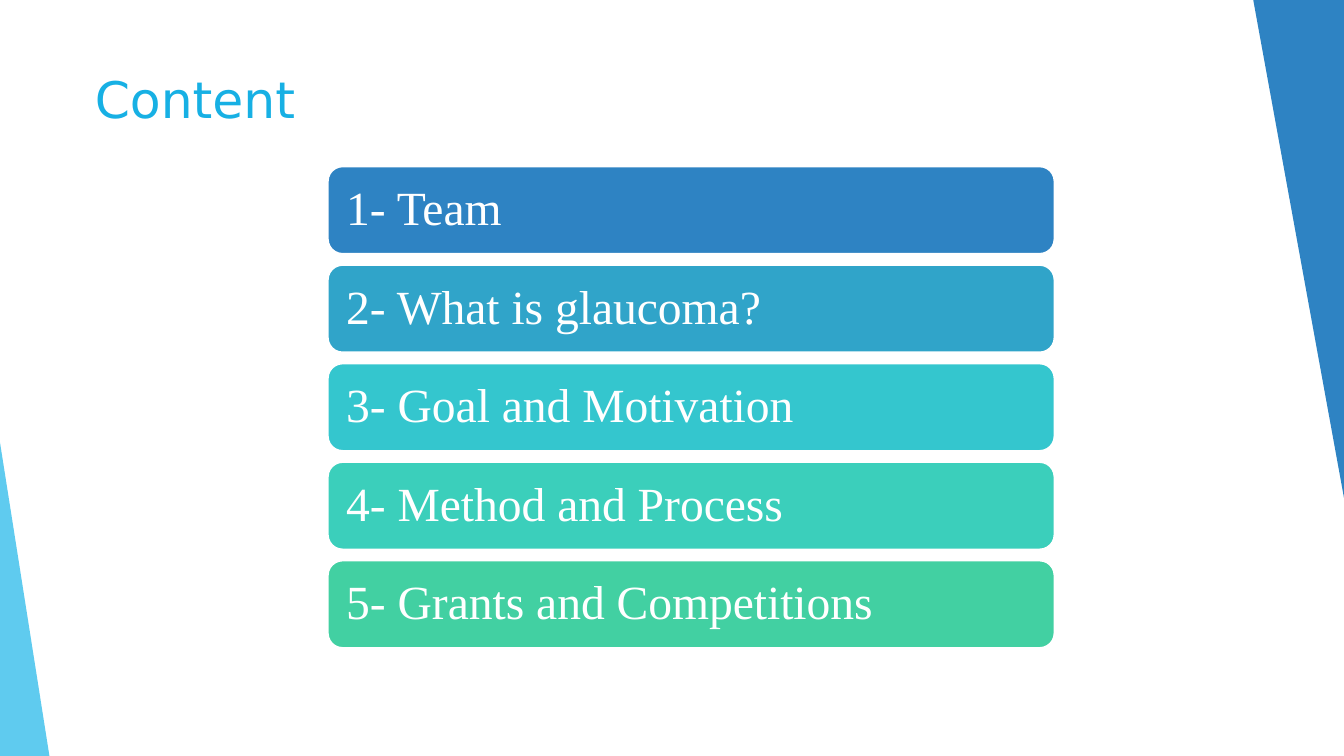
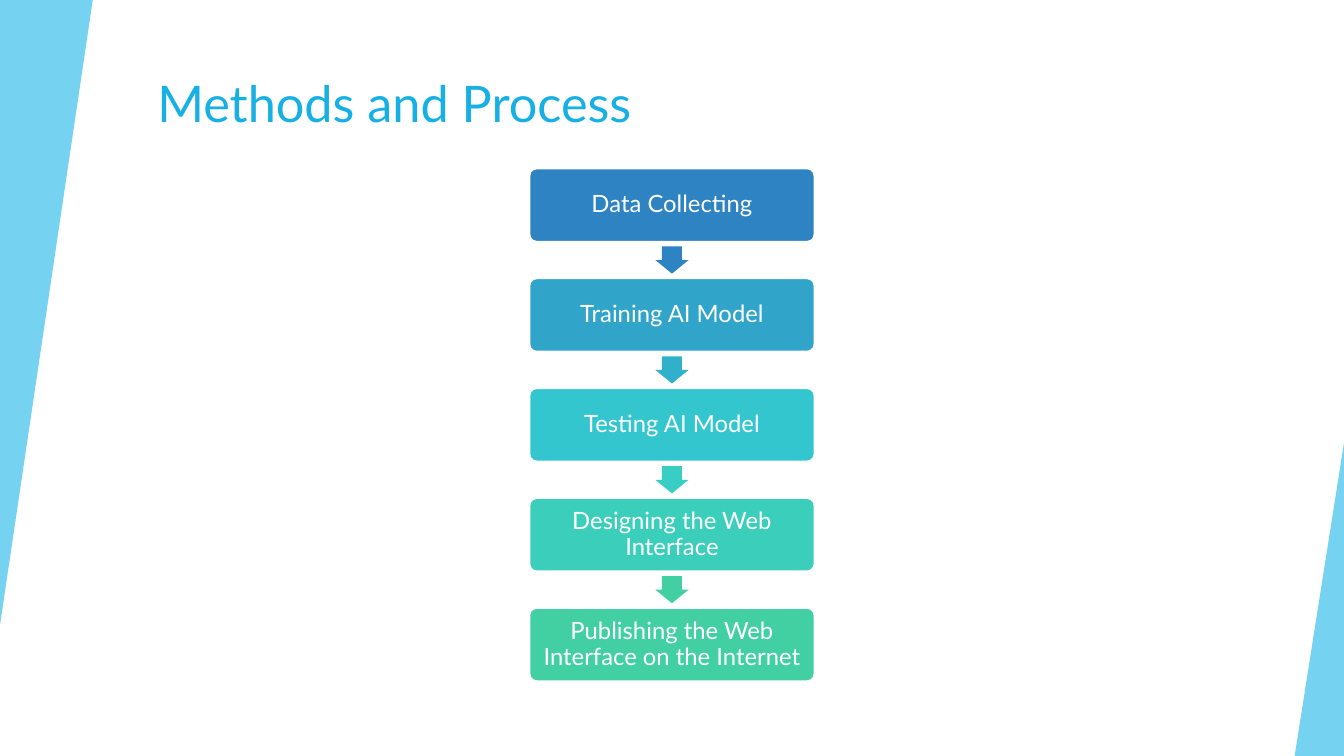
from lxml import etree
from pptx import Presentation
from pptx.dml.color import RGBColor
from pptx.enum.shapes import MSO_SHAPE
from pptx.enum.text import MSO_ANCHOR, MSO_AUTO_SIZE, PP_ALIGN
from pptx.oxml.ns import qn
from pptx.util import Inches, Pt

TRIANGLE = MSO_SHAPE.ISOSCELES_TRIANGLE
ROUNDED = MSO_SHAPE.ROUNDED_RECTANGLE
DOWN_ARROW = MSO_SHAPE.DOWN_ARROW
TOP, MIDDLE = MSO_ANCHOR.TOP, MSO_ANCHOR.MIDDLE
LEFT, CENTER = PP_ALIGN.LEFT, PP_ALIGN.CENTER
NO_AUTOFIT = MSO_AUTO_SIZE.NONE

WHITE = RGBColor(0xFF, 0xFF, 0xFF)
TITLE_BLUE = RGBColor(0x17, 0xB0, 0xE4)
SKY = RGBColor(0x5F, 0xCB, 0xEF)
BLUE = RGBColor(0x2E, 0x83, 0xC3)
GREEN = RGBColor(0x42, 0xD0, 0xA2)
STEP_COLORS = [
    BLUE,
    RGBColor(0x30, 0xA4, 0xC9),
    RGBColor(0x34, 0xC6, 0xCE),
    RGBColor(0x3B, 0xCF, 0xBB),
    GREEN,
]
ARROW_COLORS = [
    BLUE,
    RGBColor(0x31, 0xB0, 0xCB),
    RGBColor(0x39, 0xCE, 0xC4),
    GREEN,
]

SLIDE_W, SLIDE_H = 13.33, 7.5
TITLE_ONLY = 5
WEDGE_W, WEDGE_H = 0.49, 3.11
WEDGE_TOP = SLIDE_H - WEDGE_H
BAND_W = 0.92

CHAPTERS = [
    "1- Team",
    "2- What is glaucoma?",
    "3- Goal and Motivation",
    "4- Method and Process",
    "5- Grants and Competitions",
]
STEPS = [
    "Data Collecting",
    "Training AI Model",
    "Testing AI Model",
    "Designing the Web Interface",
    "Publishing the Web Interface on the Internet",
]


def add_filled(slide, kind, box, color):
    """Add a flat preset shape without outline or shadow."""
    shape = slide.shapes.add_shape(kind, *map(Inches, box))
    shape.shadow.inherit = False
    shape.fill.solid()
    shape.fill.fore_color.rgb = color
    shape.line.fill.background()
    return shape


def add_wedge(slide, box, color, apex, rotation=0, opacity=100):
    """Add a right-angled triangle along a slide edge."""
    wedge = add_filled(slide, TRIANGLE, box, color)
    wedge.adjustments[0] = apex
    wedge.rotation = rotation
    if opacity < 100:
        fill_color = wedge.fill._xPr.find(qn("a:solidFill"))[0]
        etree.SubElement(fill_color, qn("a:alpha"), val=str(opacity * 1000))


def add_run(paragraph, text, font_name, size, color):
    """Add one formatted run."""
    run = paragraph.add_run()
    run.text = text
    run.font.name = font_name
    run.font.size = Pt(size)
    run.font.color.rgb = color


def add_titled_slide(prs, text, font_name, box):
    """Add a title-only slide with the shared title style."""
    slide = prs.slides.add_slide(prs.slide_layouts[TITLE_ONLY])
    title = slide.shapes.title
    title.left, title.top, title.width, title.height = map(Inches, box)
    frame = title.text_frame
    frame.vertical_anchor = TOP
    frame.auto_size = NO_AUTOFIT
    paragraph = frame.paragraphs[0]
    paragraph.alignment = LEFT
    add_run(paragraph, text, font_name, 36, TITLE_BLUE)
    return slide


def add_boxes(slide, labels, box, pitch, radius, inset, align, font_name, size):
    """Stack rounded boxes, one for each label, at an even pitch."""
    left, top, width, height = box
    for i, (label, color) in enumerate(zip(labels, STEP_COLORS)):
        card = add_filled(
            slide, ROUNDED, (left, top + i * pitch, width, height), color)
        card.adjustments[0] = radius
        card.line.color.rgb = WHITE
        card.line.width = Pt(1.5)
        frame = card.text_frame
        frame.word_wrap = True
        frame.vertical_anchor = MIDDLE
        frame.margin_left = frame.margin_right = Inches(inset)
        frame.margin_top = frame.margin_bottom = Inches(inset)
        paragraph = frame.paragraphs[0]
        paragraph.alignment = align
        paragraph.line_spacing = 0.9
        add_run(paragraph, label, font_name, size, WHITE)


def add_arrows(slide, box, pitch):
    """Put a down arrow in the middle of each gap between boxes."""
    left, top, width, height = box
    arrow_w, arrow_h = 0.33, 0.27
    arrow_left = left + (width - arrow_w) / 2
    first_top = top + (height + pitch - arrow_h) / 2
    for i, color in enumerate(ARROW_COLORS):
        arrow = add_filled(
            slide, DOWN_ARROW,
            (arrow_left, first_top + i * pitch, arrow_w, arrow_h), color)
        arrow.adjustments[0] = 0.6
        arrow.adjustments[1] = 0.5


def build_content(prs):
    """Build the list of chapters."""
    slide = add_titled_slide(
        prs, "Content", "DejaVu Sans", (0.84, 0.63, 10.38, 1.5))
    add_wedge(slide, (0, WEDGE_TOP, WEDGE_W, WEDGE_H), SKY, 0)
    add_wedge(slide, (12.43, 0, BAND_W, 5.05), BLUE, 0, rotation=180)
    first_top, last_top = 1.65, 5.56
    pitch = (last_top - first_top) / (len(CHAPTERS) - 1)
    add_boxes(slide, CHAPTERS, (3.25, first_top, 7.21, 0.87), pitch,
              0.17, 0.14, LEFT, "Times New Roman", 34)


def build_process(prs):
    """Build the vertical process chain."""
    slide = add_titled_slide(
        prs, "Methods and Process", "Lato", (1.46, 0.67, 9.4, 1.44))
    add_wedge(slide, (0, 0, BAND_W, 6.2), SKY, 1, rotation=180, opacity=85)
    add_wedge(slide, (SLIDE_W - WEDGE_W, WEDGE_TOP, WEDGE_W, WEDGE_H),
              SKY, 1, opacity=85)
    first_box, pitch = (5.25, 1.67, 2.83, 0.73), 1.09
    add_boxes(slide, STEPS, first_box, pitch, 0.1, 0.07, CENTER, "Lato", 17)
    add_arrows(slide, first_box, pitch)


def main():
    """Build and save the presentation."""
    prs = Presentation()
    prs.slide_width, prs.slide_height = Inches(SLIDE_W), Inches(SLIDE_H)
    build_content(prs)
    build_process(prs)
    prs.save("out.pptx")


if __name__ == "__main__":
    main()
